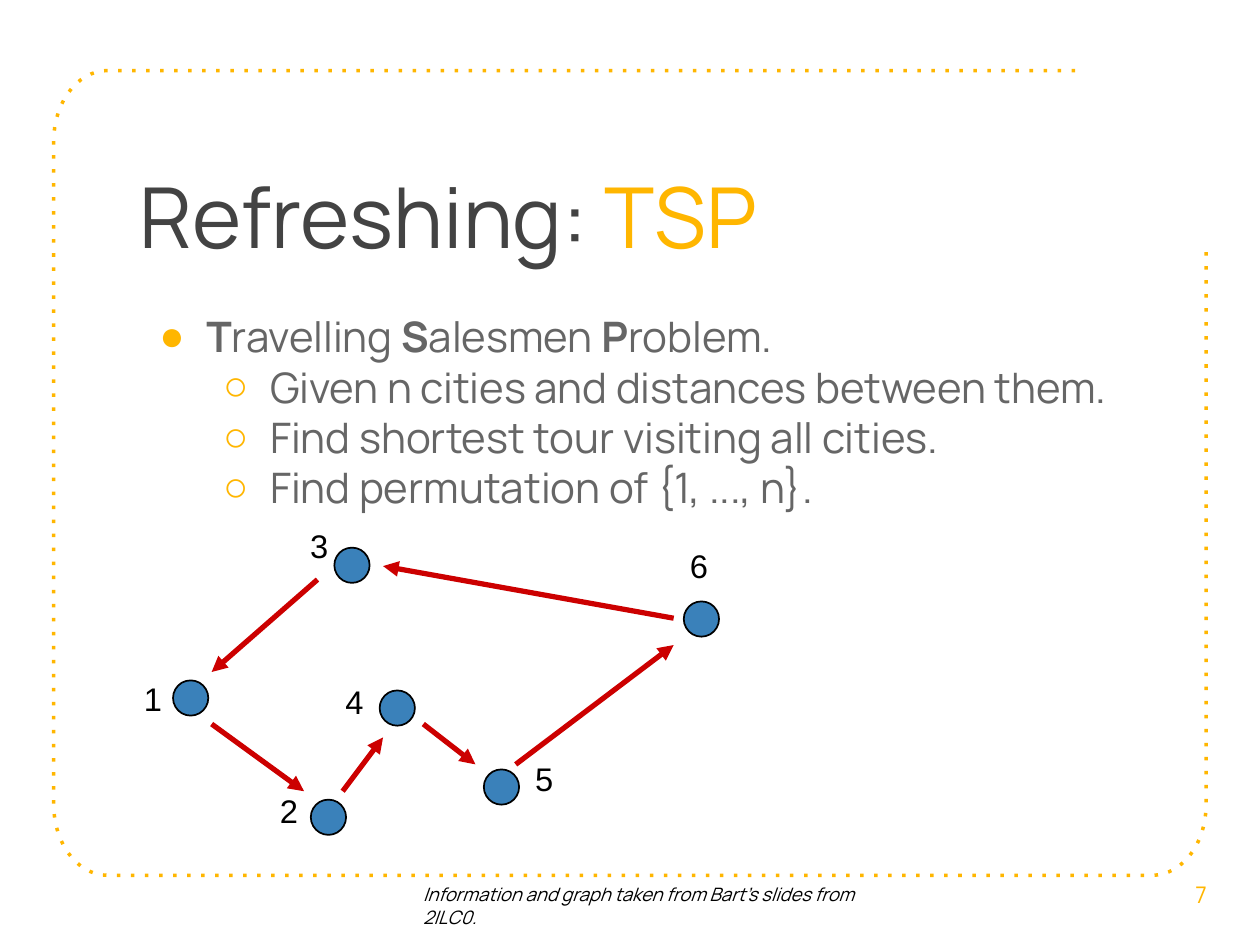
from math import cos, sin, radians
from lxml.etree import SubElement
from pptx import Presentation
from pptx.dml.color import RGBColor
from pptx.enum.shapes import MSO_CONNECTOR, MSO_SHAPE
from pptx.enum.text import MSO_ANCHOR, PP_ALIGN
from pptx.oxml.ns import qn
from pptx.util import Inches, Pt

YELLOW, DARK, GREY, BLACK = "FFB600", "434343", "666666", "000000"
BLUE, RED = "3A81BA", "CC0000"

TITLE = [("Refreshing: ", DARK), ("TSP", YELLOW)]
HEADLINE = [("T", True), ("ravelling ", False), ("S", True),
            ("alesmen ", False), ("P", True), ("roblem.", False)]
BULLETS = [
    (0, HEADLINE),
    (1, [("Given n cities and distances between them.", False)]),
    (1, [("Find shortest tour visiting all cities.", False)]),
    (1, [("Find permutation of {1, ..., n}.", False)]),
]
BULLET_STYLE = [("●", 0.37), ("○", 0.75)]
HANGING = 0.28
CREDIT = "Information and graph taken from Bart’s slides from 2ILC0."
PAGE = "7"

CITY_SIZE = 0.21
LABEL_W, LABEL_H = 0.34, 0.4
CITIES = {
    "1": ((1.03, 4.05), (0.91, 3.99)),
    "2": ((1.85, 4.76), (1.72, 4.66)),
    "3": ((1.99, 3.26), (1.9, 3.08)),
    "4": ((2.26, 4.11), (2.11, 4.01)),
    "5": ((2.88, 4.58), (3.24, 4.47)),
    "6": ((4.07, 3.58), (4.16, 3.2)),
}
TOUR = [
    ((1.26, 4.31), (1.81, 4.71)),
    ((2.04, 4.71), (2.28, 4.39)),
    ((2.52, 4.31), (2.83, 4.55)),
    ((3.07, 4.55), (4.01, 3.84)),
    ((4.01, 3.68), (2.28, 3.37)),
    ((1.89, 3.45), (1.26, 4)),
]

LEFT, TOP, RIGHT, BOTTOM = 0.32, 0.42, 7.18, 5.21
RADIUS_X, RADIUS_Y = 0.32, 0.42
FRAME_START, FRAME_END = (6.4, TOP), (RIGHT, 1.46)
CORNERS = [
    (LEFT + RADIUS_X, TOP + RADIUS_Y, 270),
    (LEFT + RADIUS_X, BOTTOM - RADIUS_Y, 180),
    (RIGHT - RADIUS_X, BOTTOM - RADIUS_Y, 90),
]


def rgb(color):
    return RGBColor.from_string(color)


def add_text(box, inset=None, anchor=MSO_ANCHOR.TOP):
    tf = s.shapes.add_textbox(*map(Inches, box)).text_frame
    tf.word_wrap = True
    tf.vertical_anchor = anchor
    if inset is not None:
        tf.margin_left = tf.margin_right = Inches(inset)
        tf.margin_top = tf.margin_bottom = Inches(inset)
    return tf


def add_run(p, text, size, color, font="Manrope", bold=False, italic=False):
    r = p.add_run()
    r.text = text
    r.font.name, r.font.size = font, Pt(size)
    r.font.bold, r.font.italic = bold, italic
    r.font.color.rgb = rgb(color)


def add_bullet(p, char, indent):
    pPr = p._p.get_or_add_pPr()
    pPr.set("marL", str(Inches(indent)))
    pPr.set("indent", str(-Inches(HANGING)))
    SubElement(SubElement(pPr, qn("a:buClr")), qn("a:srgbClr"), val=YELLOW)
    SubElement(pPr, qn("a:buFont"), typeface="Arial")
    SubElement(pPr, qn("a:buChar"), char=char)


def add_frame():
    points = [(cx + RADIUS_X * cos(radians(start - step)),
               cy + RADIUS_Y * sin(radians(start - step)))
              for cx, cy, start in CORNERS for step in range(0, 91, 6)]
    fb = s.shapes.build_freeform(*map(Inches, FRAME_START))
    fb.add_line_segments([(Inches(x), Inches(y)) for x, y in points + [FRAME_END]],
                         close=False)
    sp = fb.convert_to_shape()
    sp.shadow.inherit = False
    sp.fill.background()
    sp.line.color.rgb = rgb(YELLOW)
    sp.line.width = Pt(1.5)
    SubElement(sp.line._get_or_add_ln(), qn("a:prstDash"), val="dot")


def add_city(x, y):
    sp = s.shapes.add_shape(MSO_SHAPE.OVAL, Inches(x), Inches(y),
                            Inches(CITY_SIZE), Inches(CITY_SIZE))
    sp.shadow.inherit = False
    sp.fill.solid()
    sp.fill.fore_color.rgb = rgb(BLUE)
    sp.line.color.rgb = rgb(BLACK)
    sp.line.width = Pt(0.75)


def add_arrow(start, end):
    c = s.shapes.add_connector(MSO_CONNECTOR.STRAIGHT, *map(Inches, start + end))
    c.line.color.rgb = rgb(RED)
    c.line.width = Pt(2.25)
    SubElement(c.line._get_or_add_ln(), qn("a:tailEnd"), type="triangle")
    SubElement(c._element.spPr, qn("a:effectLst"))


prs = Presentation()
prs.slide_width = Inches(7.5)
prs.slide_height = prs.slide_width * 3 // 4
s = prs.slides.add_slide(prs.slide_layouts[6])

add_frame()

p = add_text((0.76, 0.91, 5.63, 0.7), 0.07).paragraphs[0]
for text, color in TITLE:
    add_run(p, text, 36, color)

p = add_text((6.93, 5.1, 0.44, 0.45), 0.07, MSO_ANCHOR.MIDDLE).paragraphs[0]
p.alignment = PP_ALIGN.CENTER
add_run(p, PAGE, 9.8, YELLOW)

tf = add_text((0.76, 1.75, 6.17, 2.94), 0.1)
for i, (level, runs) in enumerate(BULLETS):
    p = tf.add_paragraph() if i else tf.paragraphs[0]
    p.level = level
    add_bullet(p, *BULLET_STYLE[level])
    for text, bold in runs:
        add_run(p, text, 18, GREY, bold=bold)

p = add_text((2.42, 5.21, 3.09, 0.23)).paragraphs[0]
add_run(p, CREDIT, 7.9, BLACK, italic=True)

for name, (city, (label_x, label_y)) in CITIES.items():
    add_city(*city)
    p = add_text((label_x - LABEL_W / 2, label_y, LABEL_W, LABEL_H)).paragraphs[0]
    p.alignment = PP_ALIGN.CENTER
    add_run(p, name, 14, BLACK, font="Arial")

for start, end in TOUR:
    add_arrow(start, end)

prs.save("out.pptx")
